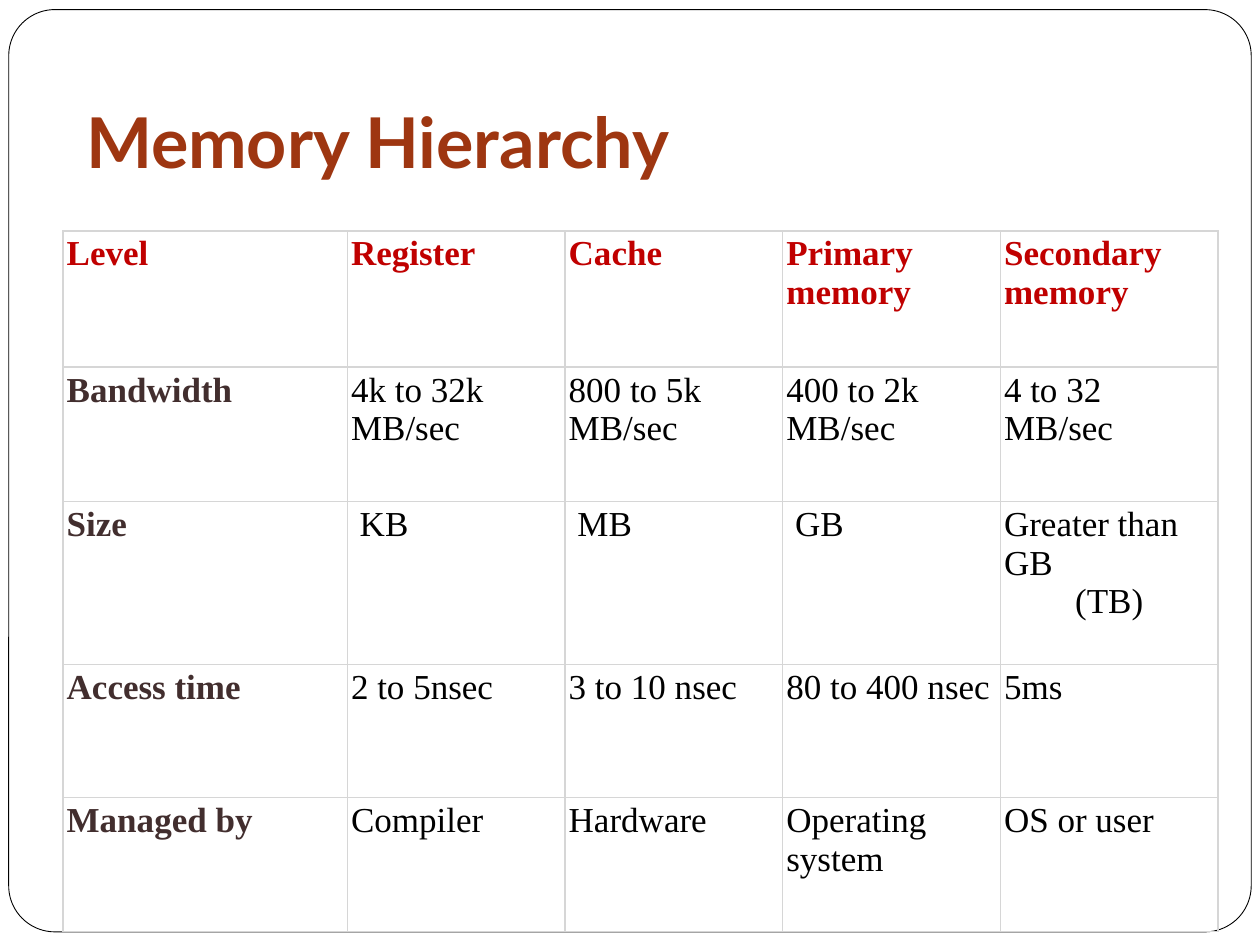
from dataclasses import dataclass

from lxml import etree
from pptx import Presentation
from pptx.dml.color import RGBColor
from pptx.enum.shapes import MSO_SHAPE
from pptx.enum.text import MSO_ANCHOR, MSO_AUTO_SIZE, PP_ALIGN
from pptx.oxml.ns import qn
from pptx.util import Pt

ROUNDED = MSO_SHAPE.ROUNDED_RECTANGLE
LEFT, CENTER = PP_ALIGN.LEFT, PP_ALIGN.CENTER
TOP, BOTTOM = MSO_ANCHOR.TOP, MSO_ANCHOR.BOTTOM
TITLE_ONLY = 5


@dataclass(frozen=True)
class Theme:
    title_font: str = "Lato"
    table_font: str = "Times New Roman"
    title_size: float = 40
    table_size: float = 20
    title: str = "9E3611"
    header: str = "C00000"
    row_label: str = "422E2E"
    value: str = "000000"
    frame: str = "000000"
    paper: str = "FFFFFF"
    grid: str = "D6D6D6"


THEME = Theme()

LEVELS = [
    ["Level", "Register", "Cache", "Primary memory", "Secondary memory"],
    ["Bandwidth", "4k to 32k MB/sec", "800 to 5k MB/sec", "400 to 2k MB/sec", "4 to 32 MB/sec"],
    ["Size", "KB", "MB", "GB", "Greater than GB\n(TB)"],
    ["Access time", "2 to 5nsec", "3 to 10 nsec", "80 to 400 nsec", "5ms"],
    ["Managed by", "Compiler", "Hardware", "Operating system", "OS or user"],
]
COLUMN_WIDTHS = [162.5] + [124.4] * 4
ROW_HEIGHTS = [77.75, 76.75, 93.25, 76, 76.75]
CELL_MARGIN = 2.1
UNIT_INDENT = 5
UNITS = {"KB", "MB", "GB"}


def style_font(font, name, size, color, bold):
    font.name = name
    font.size = Pt(size)
    font.color.rgb = RGBColor.from_string(color)
    font.bold = bold


def add_frame(slide):
    """Draw the rounded page border behind everything else."""
    frame = slide.shapes.add_shape(ROUNDED, Pt(5), Pt(5.5), Pt(710), Pt(527))
    frame.adjustments[0] = 0.05
    frame.shadow.inherit = False
    frame.fill.solid()
    frame.fill.fore_color.rgb = RGBColor.from_string(THEME.paper)
    frame.line.color.rgb = RGBColor.from_string(THEME.frame)
    frame.line.width = Pt(0.5)
    slide.shapes.title.element.addprevious(frame.element)


def set_title(slide, text):
    title = slide.shapes.title
    title.left, title.top, title.width, title.height = Pt(42), Pt(21.6), Pt(642), Pt(90)
    text_frame = title.text_frame
    text_frame.text = text
    text_frame.auto_size = MSO_AUTO_SIZE.NONE
    text_frame.vertical_anchor = BOTTOM
    text_frame.margin_left = text_frame.margin_right = text_frame.margin_bottom = Pt(7.2)
    text_frame.margin_top = Pt(3.6)
    heading = text_frame.paragraphs[0]
    heading.alignment = LEFT
    style_font(heading.runs[0].font, THEME.title_font, THEME.title_size, THEME.title, True)


def set_borders(cell):
    properties = cell._tc.get_or_add_tcPr()
    for position, side in enumerate(("a:lnL", "a:lnR", "a:lnT", "a:lnB")):
        border = etree.Element(qn(side), w=str(Pt(0.75)))
        fill = etree.SubElement(border, qn("a:solidFill"))
        etree.SubElement(fill, qn("a:srgbClr"), val=THEME.grid)
        properties.insert(position, border)


def fill_cell(cell, text, color, bold):
    cell.fill.background()
    set_borders(cell)
    cell.vertical_anchor = TOP
    cell.margin_left = Pt(CELL_MARGIN + (UNIT_INDENT if text in UNITS else 0))
    cell.margin_right = cell.margin_top = cell.margin_bottom = Pt(CELL_MARGIN)
    cell.text_frame.text = text
    for index, paragraph in enumerate(cell.text_frame.paragraphs):
        paragraph.alignment = CENTER if index else LEFT
        style_font(paragraph.runs[0].font, THEME.table_font, THEME.table_size, color, bold)


def add_level_table(slide):
    table = slide.shapes.add_table(
        len(LEVELS), len(COLUMN_WIDTHS), Pt(36), Pt(132),
        Pt(sum(COLUMN_WIDTHS)), Pt(sum(ROW_HEIGHTS))).table
    table.first_row = table.horz_banding = False
    for column, width in zip(table.columns, COLUMN_WIDTHS):
        column.width = Pt(width)
    for row, height in zip(table.rows, ROW_HEIGHTS):
        row.height = Pt(height)
    for r, entries in enumerate(LEVELS):
        for c, text in enumerate(entries):
            if r == 0:
                color = THEME.header
            else:
                color = THEME.value if c else THEME.row_label
            fill_cell(table.cell(r, c), text, color, r == 0 or c == 0)


def main():
    presentation = Presentation()
    presentation.slide_width, presentation.slide_height = Pt(720), Pt(540)
    slide = presentation.slides.add_slide(presentation.slide_layouts[TITLE_ONLY])
    add_frame(slide)
    set_title(slide, "Memory Hierarchy")
    add_level_table(slide)
    presentation.save("out.pptx")


if __name__ == "__main__":
    main()
